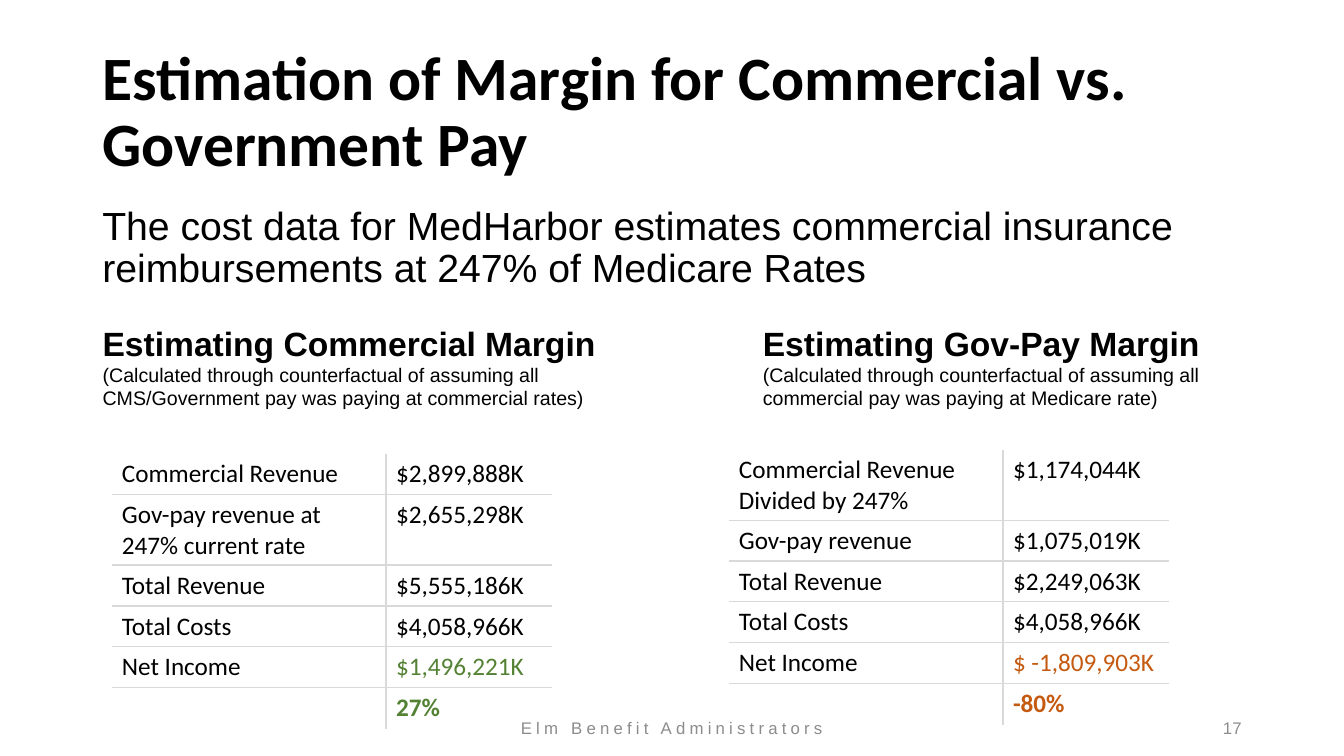
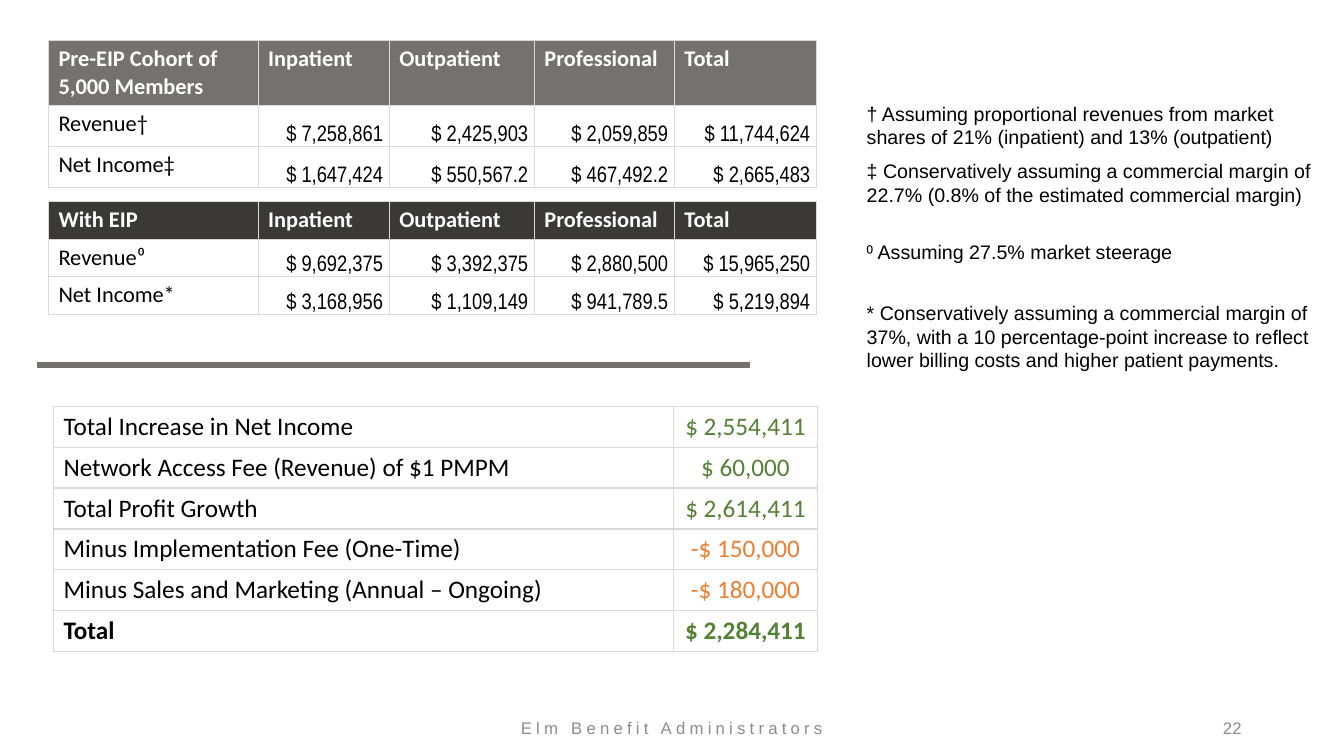
"""Build two slides on commercial and government pay margins."""
import pptx
import pptx.dml.color
import pptx.enum.shapes
import pptx.enum.text
import pptx.oxml.ns
import pptx.util
from lxml import etree

Pt = pptx.util.Pt
RGBColor = pptx.dml.color.RGBColor
ALIGN = pptx.enum.text.PP_ALIGN
ANCHOR = pptx.enum.text.MSO_ANCHOR
qn = pptx.oxml.ns.qn

BLACK = RGBColor(0x00, 0x00, 0x00)
WHITE = RGBColor(0xFF, 0xFF, 0xFF)
GREEN = RGBColor(0x54, 0x82, 0x35)
RUST = RGBColor(0xC5, 0x5A, 0x11)
ORANGE = RGBColor(0xED, 0x7D, 0x31)
GRAY = RGBColor(0x76, 0x71, 0x71)
CHARCOAL = RGBColor(0x3B, 0x38, 0x38)
FOOTER_GRAY = RGBColor(0x8C, 0x8C, 0x8C)
BORDER = RGBColor(0xD9, 0xD9, 0xD9)

HEADING_FONT, BODY_FONT, NUMBER_FONT = "Calibri", "Arial", "Arial Narrow"
FOOTER = "Elm Benefit Administrators"
TITLE = "Estimation of Margin for Commercial vs. Government Pay"
SUBTITLE = ("The cost data for MedHarbor estimates commercial insurance "
            "reimbursements at 247% of Medicare Rates")

MARGINS = [
    {"heading": "Estimating Commercial Margin",
     "method": "(Calculated through counterfactual of assuming all "
               "CMS/Government pay was paying at commercial rates)",
     "heading_box": (66.2, 226.8, 373.7, 70.6),
     "origin": (79.9, 324),
     "result_color": GREEN,
     "rows": [("Commercial Revenue", "$2,899,888K"),
              ("Gov-pay revenue at 247% current rate", "$2,655,298K"),
              ("Total Revenue", "$5,555,186K"),
              ("Total Costs", "$4,058,966K"),
              ("Net Income", "$1,496,221K"),
              ("", "27%")]},
    {"heading": "Estimating Gov-Pay Margin",
     "method": "(Calculated through counterfactual of assuming all "
               "commercial pay was paying at Medicare rate)",
     "heading_box": (537.8, 226.8, 343.4, 70.6),
     "origin": (520.6, 321.1),
     "result_color": RUST,
     "rows": [("Commercial Revenue Divided by 247%", "$1,174,044K"),
              ("Gov-pay revenue", "$1,075,019K"),
              ("Total Revenue", "$2,249,063K"),
              ("Total Costs", "$4,058,966K"),
              ("Net Income", "$ -1,809,903K"),
              ("", "-80%")]},
]

SERVICES = ["Inpatient", "Outpatient", "Professional", "Total"]
COHORTS = [
    {"top": 28.8, "heights": [46.4, 29.3, 29.3], "header_fill": GRAY,
     "rows": [["Pre-EIP Cohort of 5,000 Members", *SERVICES],
              ["Revenue†", "$ 7,258,861", "$ 2,425,903", "$ 2,059,859", "$ 11,744,624"],
              ["Net Income‡", "$ 1,647,424", "$ 550,567.2", "$ 467,492.2", "$ 2,665,483"]]},
    {"top": 144, "heights": [26.8] * 3, "header_fill": CHARCOAL,
     "rows": [["With EIP", *SERVICES],
              ["Revenue⁰", "$ 9,692,375", "$ 3,392,375", "$ 2,880,500", "$ 15,965,250"],
              ["Net Income*", "$ 3,168,956", "$ 1,109,149", "$ 941,789.5", "$ 5,219,894"]]},
]
COHORT_WIDTHS = [149.8, 93.6, 103.7, 100, 101.5]

PROFIT_ROWS = [
    ("Total Increase in Net Income", "$ 2,554,411"),
    ("Network Access Fee (Revenue) of $1 PMPM", "$ 60,000"),
    ("Total Profit Growth", "$ 2,614,411"),
    ("Minus Implementation Fee (One-Time)", "-$ 150,000"),
    ("Minus Sales and Marketing (Annual – Ongoing)", "-$ 180,000"),
    ("Total", "$ 2,284,411"),
]

NOTES = [
    (69.1, "† Assuming proportional revenues from market shares of 21% (inpatient) "
           "and 13% (outpatient)"),
    (110.2, "‡ Conservatively assuming a commercial margin of 22.7% (0.8% of the "
            "estimated commercial margin)"),
    (167.8, "⁰ Assuming 27.5% market steerage"),
    (211.7, "* Conservatively assuming a commercial margin of 37%, with a 10 "
            "percentage-point increase to reflect lower billing costs and higher "
            "patient payments."),
]
ROW_HEIGHT = 29.2


def style(paragraph, size, font=BODY_FONT, color=BLACK, bold=False, align=ALIGN.LEFT):
    paragraph.alignment = align
    for run in paragraph.runs:
        run.font.size = Pt(size)
        run.font.name = font
        run.font.bold = bold
        run.font.color.rgb = color


def add_text(slide, box, text, size, anchor=ANCHOR.TOP, **look):
    frame = slide.shapes.add_textbox(*map(Pt, box)).text_frame
    frame.word_wrap = True
    frame.vertical_anchor = anchor
    frame.text = text
    for paragraph in frame.paragraphs:
        style(paragraph, size, **look)
    return frame


def set_borders(cell, visible_sides):
    properties = cell._tc.get_or_add_tcPr()
    for side in "LRTB":
        line = etree.SubElement(properties, qn(f"a:ln{side}"), w=str(Pt(1)))
        if side in visible_sides:
            fill = etree.SubElement(line, qn("a:solidFill"))
            etree.SubElement(fill, qn("a:srgbClr"), val=str(BORDER))
        else:
            etree.SubElement(line, qn("a:noFill"))


def add_grid(slide, origin, widths, heights, rows, look, outer=True):
    """Add a table whose cells are styled by look(row, column)."""
    frame = slide.shapes.add_table(len(rows), len(widths), *map(Pt, origin),
                                   Pt(sum(widths)), Pt(sum(heights)))
    table = frame.table
    table.first_row = table.horz_banding = False
    for column, width in zip(table.columns, widths):
        column.width = Pt(width)
    for r, (row, height) in enumerate(zip(rows, heights)):
        table.rows[r].height = Pt(height)
        for c, text in enumerate(row):
            cell = table.cell(r, c)
            inner = {"L": c > 0, "R": c < len(widths) - 1,
                     "T": r > 0, "B": r < len(rows) - 1}
            set_borders(cell, [side for side in inner if outer or inner[side]])
            cell.fill.background()
            cell.text_frame.text = text
            style(cell.text_frame.paragraphs[0], **look(r, c))
    return table


def add_slide(deck, number):
    slide = deck.slides.add_slide(deck.slide_layouts[6])
    footer = add_text(slide, (318, 510, 324, 19.4), FOOTER, 12, ANCHOR.MIDDLE,
                      color=FOOTER_GRAY, align=ALIGN.CENTER)
    footer.paragraphs[0].runs[0].font._element.set("spc", "300")
    add_text(slide, (678, 510, 216, 19.4), str(number), 12, ANCHOR.MIDDLE,
             color=FOOTER_GRAY, align=ALIGN.RIGHT)
    return slide


def build_margin_slide(deck):
    slide = add_slide(deck, 17)
    title = add_text(slide, (66, 28.8, 828, 104.4), TITLE, 44, ANCHOR.MIDDLE,
                     font=HEADING_FONT, bold=True)
    subtitle = add_text(slide, (66, 144, 828, 72), SUBTITLE, 28)
    for frame in (title, subtitle):
        frame.paragraphs[0].line_spacing = 0.9

    for margin in MARGINS:
        heading = add_text(slide, margin["heading_box"],
                           f"{margin['heading']}\n{margin['method']}", 14)
        style(heading.paragraphs[0], 24, bold=True)

        def look(r, c):
            is_result = c == 1 and r >= 4
            return {"size": 18, "font": HEADING_FONT, "bold": r == 5,
                    "color": margin["result_color"] if is_result else BLACK}

        heights = [ROW_HEIGHT] * len(margin["rows"])
        add_grid(slide, margin["origin"], [195.8, 118.8], heights,
                 margin["rows"], look, outer=False)


def cohort_look(r, c):
    if r == 0:
        return {"size": 16, "font": HEADING_FONT, "color": WHITE, "bold": True}
    if c == 0:
        return {"size": 16, "font": HEADING_FONT}
    return {"size": 16, "font": NUMBER_FONT, "align": ALIGN.RIGHT}


def profit_look(r, c):
    look = {"size": 18, "font": HEADING_FONT, "bold": r == len(PROFIT_ROWS) - 1}
    if c == 1:
        look["color"] = ORANGE if PROFIT_ROWS[r][1].startswith("-") else GREEN
        look["align"] = ALIGN.CENTER
    return look


def build_profit_slide(deck):
    slide = add_slide(deck, 22)
    for cohort in COHORTS:
        table = add_grid(slide, (34.6, cohort["top"]), COHORT_WIDTHS,
                         cohort["heights"], cohort["rows"], cohort_look)
        for r in range(len(cohort["rows"])):
            for c in range(len(COHORT_WIDTHS)):
                cell = table.cell(r, c)
                if r == 0:
                    cell.fill.solid()
                    cell.fill.fore_color.rgb = cohort["header_fill"]
                elif c > 0:
                    cell.vertical_anchor = ANCHOR.BOTTOM
                    cell.margin_left = cell.margin_top = Pt(0.7)
                    cell.margin_right, cell.margin_bottom = Pt(4.4), Pt(0)

    divider = slide.shapes.add_connector(pptx.enum.shapes.MSO_CONNECTOR.STRAIGHT,
                                         Pt(26.6), Pt(260.6), Pt(535.7), Pt(260.6))
    divider.line.color.rgb = GRAY
    divider.line.width = Pt(4.5)
    etree.SubElement(divider._element.spPr, qn("a:effectLst"))

    add_grid(slide, (38.2, 290.2), [442.8, 103], [ROW_HEIGHT] * len(PROFIT_ROWS),
             PROFIT_ROWS, profit_look)
    for top, note in NOTES:
        add_text(slide, (612, top, 339.8, 41), note, 14)


def main():
    deck = pptx.Presentation()
    deck.slide_width, deck.slide_height = Pt(960), Pt(540)
    build_margin_slide(deck)
    build_profit_slide(deck)
    deck.save("out.pptx")


if __name__ == "__main__":
    main()
